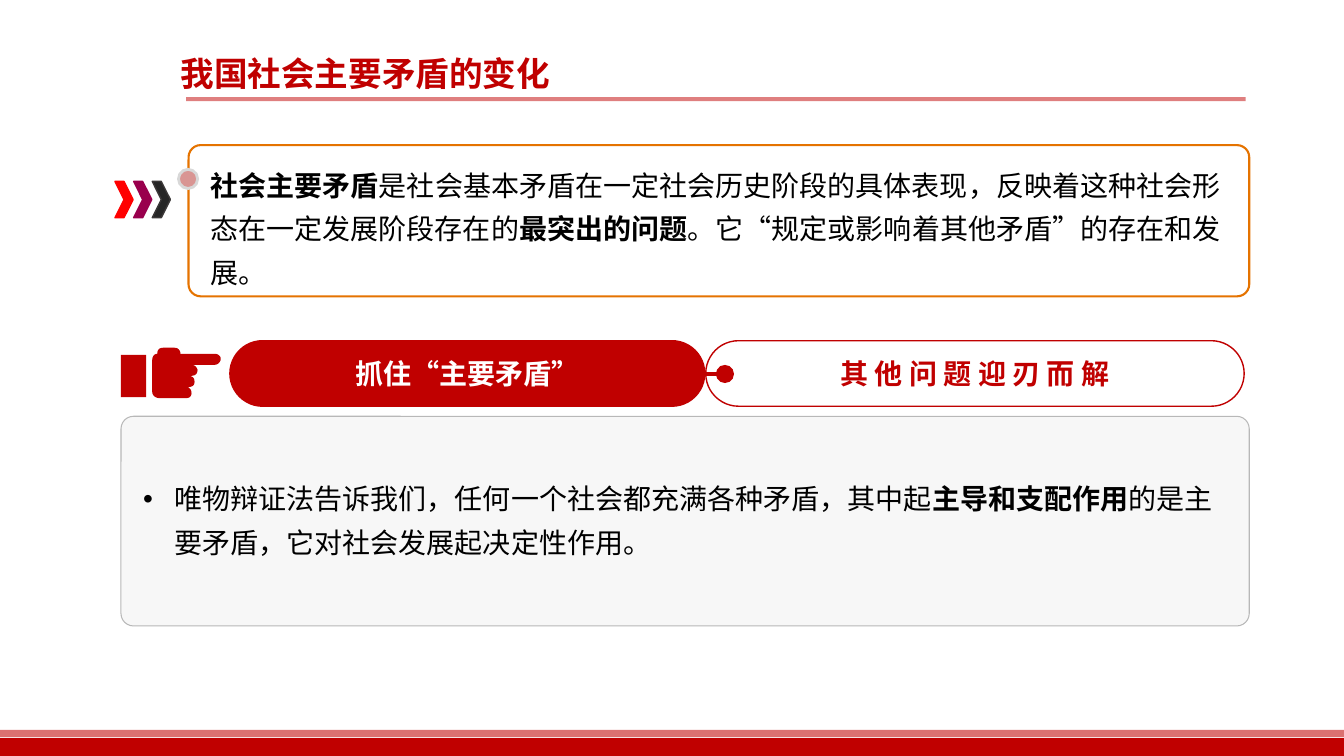
import pptx
import pptx.util
import pptx.oxml
import pptx.oxml.ns
import pptx.dml.color
import pptx.enum.lang
import pptx.enum.shapes
import pptx.enum.text

SHAPE = pptx.enum.shapes.MSO_SHAPE
ALIGN = pptx.enum.text.PP_ALIGN
ANCHOR = pptx.enum.text.MSO_ANCHOR

COLORS = {
    "red": "C00000", "white": "FFFFFF", "black": "000000", "orange": "E57300",
    "bright": "FF0000", "plum": "99004D", "dark": "262626", "dark edge": "3B3838",
    "rose": "D99593", "silver": "D8D8D8", "panel": "F2F2F2", "panel edge": "B8B8B8",
}

# Pointing hand: two numbers are a straight step to (x, y),
# six are a curve given by two control points and its end.
HAND_START = (19, 39)
HAND_STEPS = [
    (19, 38.7, 18.8, 38.4, 18.5, 38.4), (18.7, 38.4),
    (19.1, 38.4, 19.3, 38.2, 19.3, 37.9), (19.3, 37.5, 19.1, 37.3, 18.7, 37.3),
    (19.1, 37.3, 19.6, 37.3, 19.6, 36.7), (19.5, 36.4, 19.3, 36.2, 19, 36.2),
    (21.3, 36.2), (21.6, 36.2, 21.9, 35.9, 21.9, 35.6),
    (21.9, 35.3, 21.6, 35.1, 21.3, 35.1), (17.9, 35.1),
    (17.9, 34.7, 17.6, 34.5, 17.3, 34.5), (16.2, 34.5),
    (15.8, 34.5, 15.6, 34.7, 15.6, 35.1), (15.3, 35.1, 15.1, 35.4, 15.1, 35.7),
    (15.1, 38.9), (15.1, 39.2, 15.4, 39.5, 15.8, 39.5),
    (18.5, 39.5), (18.8, 39.5, 19, 39.3, 19, 39),
]


def outline_points(start, steps, pieces=6):
    """Turn straight and curved steps into a list of corner points."""
    points = [start]
    for step in steps:
        if len(step) == 2:
            points.append(step)
            continue
        origin = points[-1]
        first, second, end = step[:2], step[2:4], step[4:]
        for piece in range(1, pieces + 1):
            t = piece / pieces
            u = 1 - t
            points.append(tuple(
                u**3 * a + 3 * u**2 * t * b + 3 * u * t**2 * c + t**3 * d
                for a, b, c, d in zip(origin, first, second, end)))
    return points


def element(tag, **attributes):
    """Make an empty drawing element with the given attributes."""
    made = pptx.oxml.parse_xml(f'<a:{tag} {pptx.oxml.ns.nsdecls("a")}/>')
    for name, value in attributes.items():
        made.set(name, str(value))
    return made


class SlideBuilder:
    """Style and current slide; lengths are columns and rows of a 0.1 inch grid."""

    font = "Noto Sans CJK SC"
    cell = pptx.util.Inches(0.1)

    def __init__(self, page):
        self.page = page

    def cells(self, *counts):
        return [round(count * self.cell) for count in counts]

    def color(self, name):
        return pptx.dml.color.RGBColor.from_string(COLORS[name])

    def paint(self, shape, fill=None, line=None, weight=1, opacity=None):
        shape.shadow.inherit = False
        if fill:
            shape.fill.solid()
            shape.fill.fore_color.rgb = self.color(fill)
        else:
            shape.fill.background()
        if opacity:
            for tint in shape.element.spPr.xpath("./a:solidFill/a:srgbClr"):
                tint.append(element("alpha", val=opacity * 1000))
        if line:
            shape.line.color.rgb = self.color(line)
            shape.line.width = pptx.util.Pt(weight)
        else:
            shape.line.fill.background()

    def shape(self, kind, place, corner=None, **style):
        shape = self.page.shapes.add_shape(kind, *self.cells(*place))
        if corner is not None:
            shape.adjustments[0] = corner
        self.paint(shape, **style)
        return shape

    def freeform(self, points, **style):
        corners = [tuple(self.cells(*point)) for point in points]
        builder = self.page.shapes.build_freeform(*corners[0])
        builder.add_line_segments(corners[1:], close=True)
        self.paint(builder.convert_to_shape(), **style)

    def connector(self, start, end, color, weight):
        line = self.page.shapes.add_connector(
            pptx.enum.shapes.MSO_CONNECTOR.STRAIGHT, *self.cells(*start, *end))
        line.line.color.rgb = self.color(color)
        line.line.width = pptx.util.Pt(weight)
        line.element.spPr.append(element("effectLst"))

    def set_text(self, box, spans, color="black", size=20, align=ALIGN.LEFT,
                 anchor=ANCHOR.TOP, spacing=1.0, bullet=False, grow=False):
        """Fill a box with one paragraph of (text, bold) spans."""
        frame = box.text_frame
        frame.word_wrap = True
        frame.vertical_anchor = anchor
        if grow:
            frame.auto_size = pptx.enum.text.MSO_AUTO_SIZE.SHAPE_TO_FIT_TEXT
        para = frame.paragraphs[0]
        if bullet:
            self.add_bullet(para)
        para.alignment = align
        para.line_spacing = spacing
        para.space_before = pptx.util.Pt(0)
        for text, bold in spans:
            span = para.add_run()
            span.text = text
            span.font.name = self.font
            span.font.size = pptx.util.Pt(size)
            span.font.bold = bold
            span.font.color.rgb = self.color(color)
            span.font.language_id = pptx.enum.lang.MSO_LANGUAGE_ID.SIMPLIFIED_CHINESE
            span._r.get_or_add_rPr().append(element("ea", typeface=self.font))

    def add_bullet(self, para):
        indent = pptx.util.Inches(0.31)
        properties = para._p.get_or_add_pPr()
        properties.set("marL", str(indent))
        properties.set("indent", str(-indent))
        properties.append(element("buFont", typeface="Arial"))
        properties.append(element("buChar", char="•"))

    def placeholder(self, index, place, spans, **style):
        """Move a template placeholder to the front and fill it."""
        box = self.page.placeholders[index]
        box.left, box.top, box.width, box.height = self.cells(*place)
        box.element.getparent().append(box.element)
        self.set_text(box, spans, grow=True, **style)

    def text(self, place, spans, **style):
        box = self.page.shapes.add_textbox(*self.cells(*place))
        self.set_text(box, spans, grow=True, **style)


def main():
    deck = pptx.Presentation()
    deck.slide_width = pptx.util.Inches(13.33)
    deck.slide_height = pptx.util.Inches(7.5)
    slide = SlideBuilder(deck.slides.add_slide(deck.slide_layouts[1]))

    slide.shape(SHAPE.RECTANGLE, (0, 73.2, 133.3, 1.8), fill="red")
    slide.shape(SHAPE.RECTANGLE, (0, 72.4, 133.3, 0.7), fill="red", opacity=56)
    slide.placeholder(0, (16.9, 4.7, 64.8, 5), [("我国社会主要矛盾的变化", True)],
                      color="red", size=24)
    slide.shape(SHAPE.RECTANGLE, (18.45, 9.65, 105.1, 0.4), fill="red", opacity=50)

    chevrons = [("bright", "bright"), ("plum", "plum"), ("dark", "dark edge")]
    for number, (fill, edge) in enumerate(chevrons):
        slide.shape(SHAPE.CHEVRON, (11.4 + 1.85 * number, 18, 1.8, 3.6),
                    fill=fill, line=edge)

    slide.shape(SHAPE.ROUNDED_RECTANGLE, (18.7, 14.4, 105.2, 15), corner=0.08,
                line="orange", weight=1.5)
    slide.shape(SHAPE.FLOWCHART_CONNECTOR, (17.7, 16.8, 1.9, 1.9),
                fill="rose", line="silver", weight=2)
    slide.text((19.9, 15.2, 103, 14.1), [
        ("社会主要矛盾", True),
        ("是社会基本矛盾在一定社会历史阶段的具体表现，反映着这种社会形态在一定发展阶段存在的", False),
        ("最突出的问题", True),
        ("。它“规定或影响着其他矛盾”的存在和发展。", False),
    ], spacing=1.3)

    pills = [
        (22.8, 47.1, "red", "white", "抓住“主要矛盾”"),
        (70, 53.4, "white", "red", "其 他 问 题 迎 刃 而 解"),
    ]
    for left, width, fill, color, words in pills:
        pill = slide.shape(SHAPE.ROUNDED_RECTANGLE, (left, 33.8, width, 6.5),
                           corner=0.5, fill=fill, line="red")
        slide.set_text(pill, [(words, True)], color=color,
                       align=ALIGN.CENTER, anchor=ANCHOR.MIDDLE)
    slide.connector((68.3, 37.1), (71.2, 37.1), "red", 2.25)
    slide.shape(SHAPE.OVAL, (71, 36.2, 1.8, 1.8), fill="red")

    slide.freeform(outline_points(HAND_START, HAND_STEPS), fill="red")
    slide.shape(SHAPE.RECTANGLE, (12, 35.2, 2.5, 4.2), fill="red")

    slide.shape(SHAPE.ROUNDED_RECTANGLE, (12, 41.3, 111.9, 20.8), corner=0.06,
                fill="panel", opacity=60, line="panel edge", weight=0.75)
    slide.placeholder(1, (13.2, 46.3, 108.2, 9.7), [
        ("唯物辩证法告诉我们，任何一个社会都充满各种矛盾，其中起", False),
        ("主导和支配作用", True),
        ("的是主要矛盾，它对社会发展起决定性作用。", False),
    ], spacing=1.3, bullet=True)

    deck.save("out.pptx")


if __name__ == "__main__":
    main()
